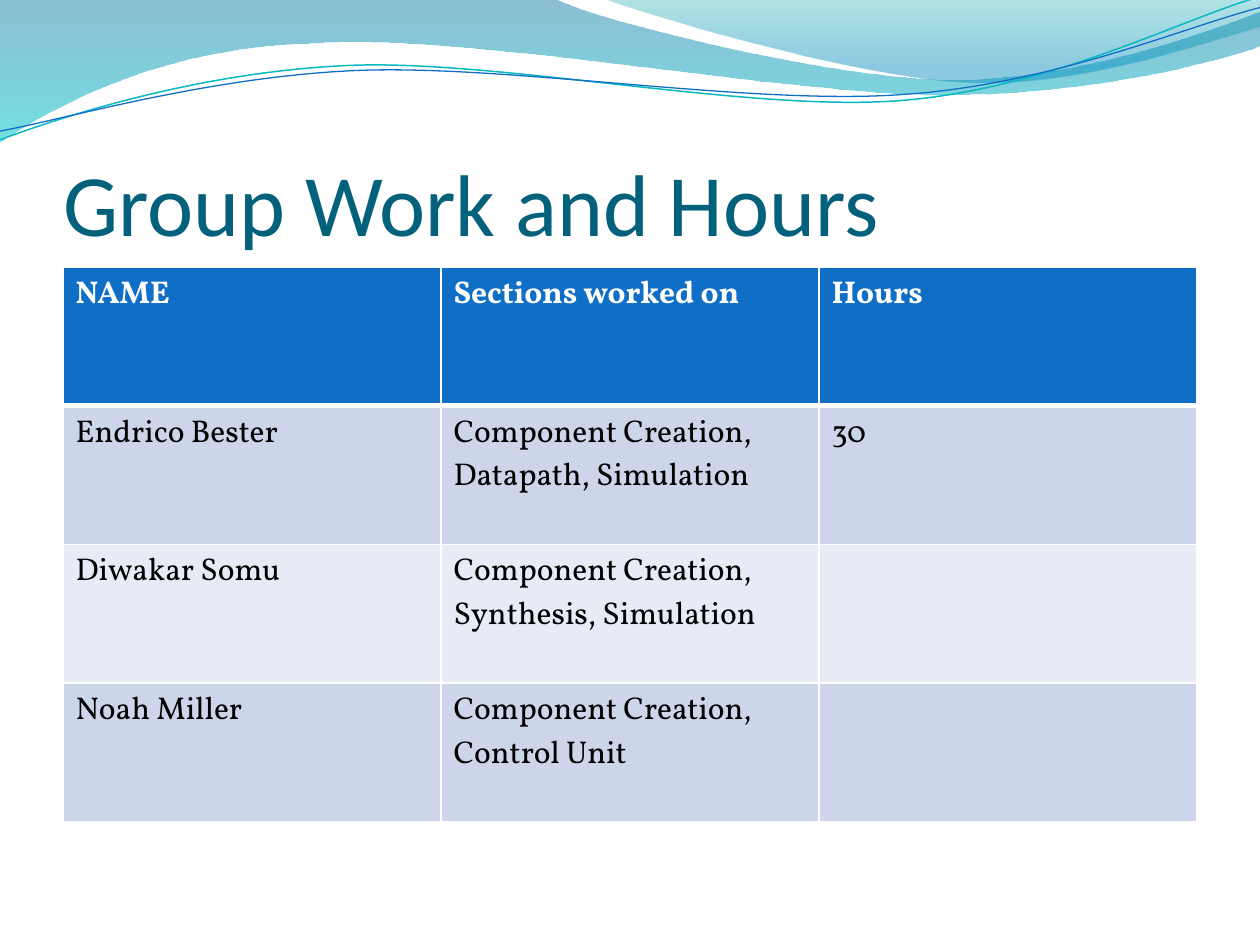
import pptx
import pptx.dml.color
import pptx.enum.text
import pptx.oxml
import pptx.oxml.ns
import pptx.util
from lxml import etree

Inches = pptx.util.Inches
Pt = pptx.util.Pt
RGBColor = pptx.dml.color.RGBColor
qn = pptx.oxml.ns.qn

# Colours
WHITE = RGBColor(0xFF, 0xFF, 0xFF)
BLACK = RGBColor(0x00, 0x00, 0x00)
TITLE_TEAL = RGBColor(0x04, 0x61, 0x7B)
BLUE = RGBColor(0x0F, 0x6F, 0xC6)
TEAL = RGBColor(0x0A, 0xB8, 0xBF)
BAND_DARK = RGBColor(0xCC, 0xD5, 0xEA)
BAND_LIGHT = RGBColor(0xE7, 0xEB, 0xF5)
DEEP_BLUE = RGBColor(0x00, 0x74, 0xA1)
AQUA = RGBColor(0x00, 0xC6, 0xCF)
SEA_GREEN = RGBColor(0x00, 0xA1, 0xA9)
SKY_BLUE = RGBColor(0x00, 0x8B, 0xBF)

# Content
TITLE = "Group Work and Hours"
ROWS = [
    ("NAME", "Sections worked on", "Hours"),
    ("Endrico Bester", "Component Creation,\nDatapath, Simulation", "30"),
    ("Diwakar Somu", "Component Creation,\nSynthesis, Simulation", ""),
    ("Noah Miller", "Component Creation,\nControl Unit", ""),
]

# Waves: a start point, then segments of 2 numbers (line) or 6 (Bezier curve), in inches
FILLED_WAVES = [
    # start, segments, gradient stops (position %, colour, opacity %)
    ((0, 0),
     [(4.4, -0.01), (4.76, 0.17, 6.64, 0.63, 7.58, 0.63),
      (8.53, 0.63, 9.58, 0.26, 10, 0.09), (10.01, 0.36),
      (9.83, 0.44, 8.7, 0.76, 7.46, 0.75), (6.22, 0.75, 3.82, 0.28, 2.57, 0.34),
      (1.29, 0.36, 0.46, 0.83, -0.01, 1.13), (0, 0)],
     [(0, DEEP_BLUE, 45), (100, AQUA, 55)]),
    ((4.79, -0.01),
     [(5.09, 0.11, 6.82, 0.62, 7.69, 0.65), (8.56, 0.69, 9.61, 0.32, 10, 0.21),
      (10, 0), (4.79, -0.01)],
     [(0, SEA_GREEN, 30), (80, SKY_BLUE, 45)]),
]
LINE_WAVES = [
    # start, segments, colour, width
    ((0, 1.11),
     [(0.48, 0.93, 1.58, 0.57, 2.77, 0.52), (3.95, 0.47, 5.93, 0.89, 7.13, 0.8),
      (8.33, 0.71, 9.38, 0.15, 9.98, -0.02)],
     TEAL, 0.85),
    ((0, 1.04),
     [(0.47, 0.96, 1.64, 0.61, 2.83, 0.56), (4.03, 0.51, 5.97, 0.84, 7.17, 0.75),
      (8.36, 0.67, 9.41, 0.21, 10, 0.06)],
     BLUE, 0.75),
]


def to_emu(point):
    return tuple(Inches(value) for value in point)


def add_wave(slide, start, segments, close):
    """Join the end points of the segments, then bend the curved ones."""
    builder = slide.shapes.build_freeform(*to_emu(start))
    builder.add_line_segments([to_emu(segment[-2:]) for segment in segments], close=close)
    shape = builder.convert_to_shape()
    shape.shadow.inherit = False
    for line, segment in zip(list(shape.element.iter(qn("a:lnTo"))), segments):
        if len(segment) == 6:
            line.getparent().replace(line, curve_element(shape, segment))
    return shape


def curve_element(shape, segment):
    curve = etree.Element(qn("a:cubicBezTo"))
    for x, y in zip(segment[::2], segment[1::2]):
        etree.SubElement(curve, qn("a:pt"), x=str(Inches(x) - shape.left),
                         y=str(Inches(y) - shape.top))
    return curve


def fill_gradient(shape, stops):
    """Fill from top to bottom with partly transparent colours."""
    shape.fill.background()
    no_fill = shape.element.spPr.find(qn("a:noFill"))
    gradient = etree.Element(qn("a:gradFill"), rotWithShape="1")
    stop_list = etree.SubElement(gradient, qn("a:gsLst"))
    for position, color, opacity in stops:
        stop = etree.SubElement(stop_list, qn("a:gs"), pos=str(position * 1000))
        rgb = etree.SubElement(stop, qn("a:srgbClr"), val=str(color))
        etree.SubElement(rgb, qn("a:alpha"), val=str(opacity * 1000))
    etree.SubElement(gradient, qn("a:lin"), ang="5400000", scaled="0")
    no_fill.getparent().replace(no_fill, gradient)


def set_borders(cell, widths):
    """Draw white borders; the fill must follow them in the XML."""
    properties = cell._tc.get_or_add_tcPr()
    for index, (side, width) in enumerate(widths.items()):
        line = etree.Element(qn("a:ln" + side), w=str(Pt(width)))
        fill = etree.SubElement(line, qn("a:solidFill"))
        etree.SubElement(fill, qn("a:srgbClr"), val=str(WHITE))
        properties.insert(index, line)


def add_hours_table(slide):
    frame = slide.shapes.add_table(len(ROWS), len(ROWS[0]), Inches(0.5), Inches(2.12),
                                   Inches(9), Inches(4.4))
    for row_index, row in enumerate(ROWS):
        is_header = row_index == 0
        band = BLUE if is_header else (BAND_LIGHT, BAND_DARK)[row_index % 2]
        borders = {"L": 1, "R": 1, "T": 3 if row_index == 1 else 1,
                   "B": 3 if is_header else 1}
        for column_index, text in enumerate(row):
            cell = frame.table.cell(row_index, column_index)
            cell.text = text
            cell.fill.solid()
            cell.fill.fore_color.rgb = band
            set_borders(cell, borders)
            for paragraph in cell.text_frame.paragraphs:
                paragraph.font.name = "Vollkorn"
                paragraph.font.size = Pt(18)
                paragraph.font.bold = is_header
                paragraph.font.color.rgb = WHITE if is_header else BLACK


def main():
    presentation = pptx.Presentation()
    presentation.slide_width = Inches(10)
    presentation.slide_height = Inches(7.5)
    slide = presentation.slides.add_slide(presentation.slide_layouts[5])

    # Wave decoration
    for start, segments, stops in FILLED_WAVES:
        wave = add_wave(slide, start, segments, close=True)
        fill_gradient(wave, stops)
        wave.line.fill.background()
    for start, segments, color, width in LINE_WAVES:
        wave = add_wave(slide, start, segments, close=False)
        wave.fill.background()
        wave.line.color.rgb = color
        wave.line.width = Pt(width)

    # Title, in front of the waves
    title = slide.shapes.title
    title.element.getparent().append(title.element)
    title.left, title.top = Inches(0.5), Inches(0.77)
    title.width, title.height = Inches(9), Inches(1.25)
    frame = title.text_frame
    frame.text = TITLE
    frame.word_wrap = True
    frame.auto_size = pptx.enum.text.MSO_AUTO_SIZE.NONE
    frame.vertical_anchor = pptx.enum.text.MSO_ANCHOR.BOTTOM
    frame.margin_left = frame.margin_right = frame.margin_bottom = 0
    frame.margin_top = Inches(0.05)
    paragraph = frame.paragraphs[0]
    paragraph.alignment = pptx.enum.text.PP_ALIGN.LEFT
    paragraph.font.name = "Calibri"
    paragraph.font.size = Pt(50)
    paragraph.font.color.rgb = TITLE_TEAL

    # Table of names, sections and hours
    add_hours_table(slide)
    presentation.save("out.pptx")


if __name__ == "__main__":
    main()
